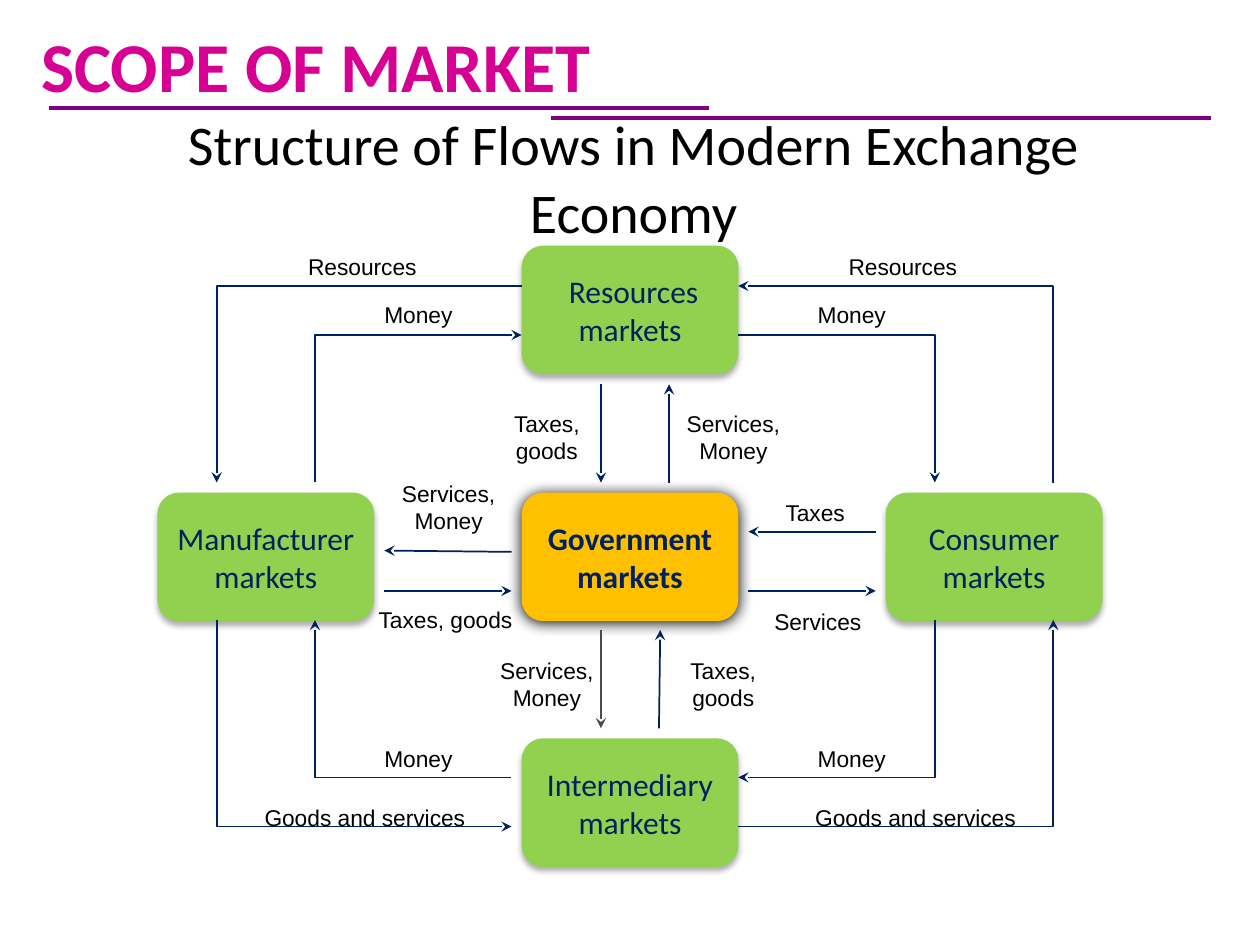
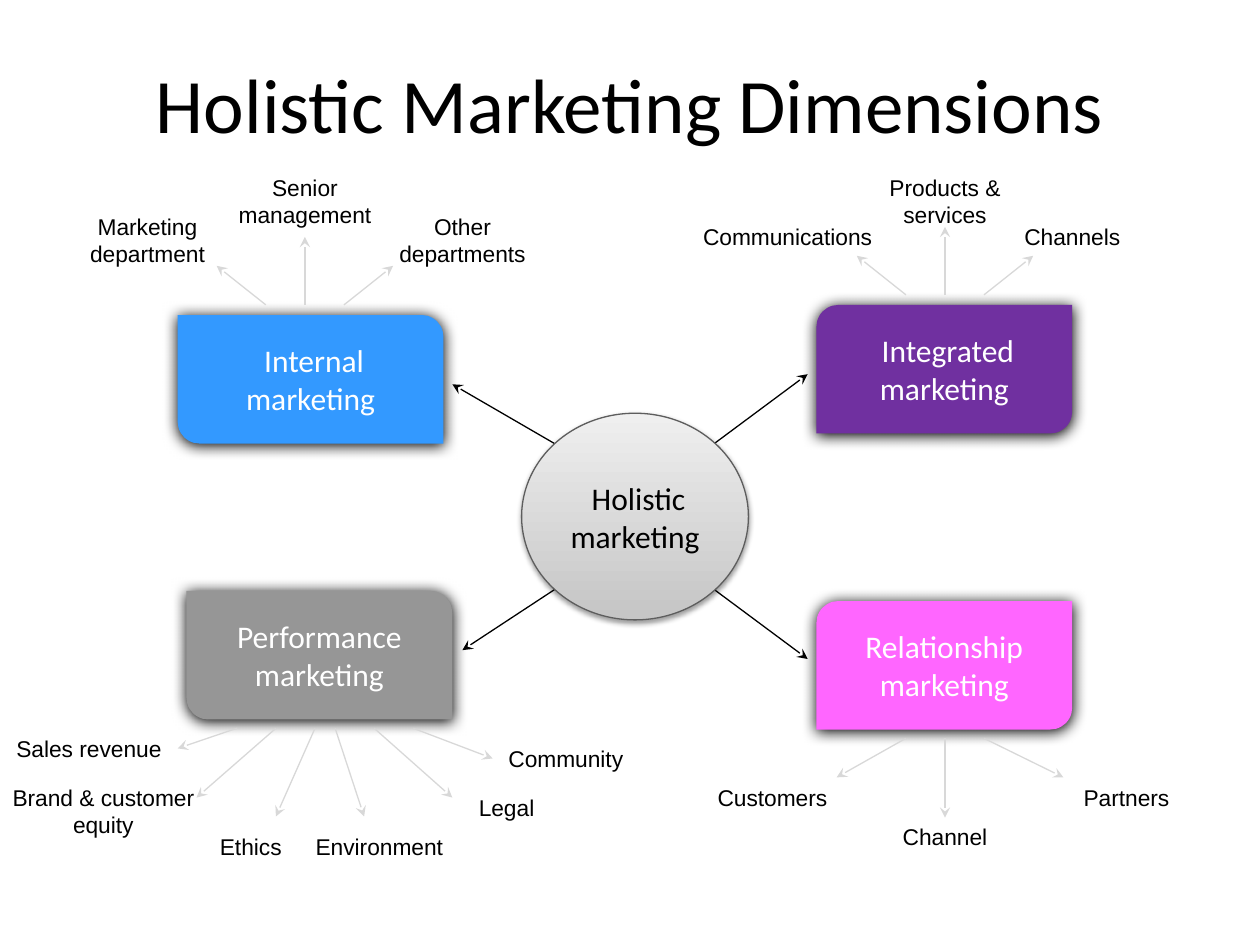
"""Build two marketing diagrams: market flows and holistic marketing dimensions."""
import lxml.etree
import pptx
import pptx.dml.color
import pptx.enum.shapes
import pptx.enum.text
import pptx.oxml.ns
import pptx.util

PX = 9144
COLORS = {
    "black": "000000", "white": "FFFFFF", "navy": "002060", "charcoal": "4B4B4B",
    "pink": "D60093", "plum": "800080", "green": "92D050", "amber": "FFC000",
    "purple": "7030A0", "magenta": "FF66FF", "blue": "3399FF", "gray": "969696",
    "pale": "D8D8D8", "outline": "5D5D5D", "hub_low": "C5C5C5", "hub_high": "EFEFEF",
}
SOFT_SHADOW = (32, 3.5, 2.2)
STRONG_SHADOW = (100, 8.5, 1)
HUB_SHADOW = (38, 3.1, 1.6)
SHAPES = pptx.enum.shapes.MSO_SHAPE
CONNECTORS = pptx.enum.shapes.MSO_CONNECTOR
ALIGN = pptx.enum.text.PP_ALIGN
ANCHOR = pptx.enum.text.MSO_ANCHOR
FIT = pptx.enum.text.MSO_AUTO_SIZE


def color(name):
    return pptx.dml.color.RGBColor.from_string(COLORS[name])


def add_child(parent, tag, **attributes):
    child = lxml.etree.SubElement(parent, pptx.oxml.ns.qn(tag))
    for key, value in attributes.items():
        child.set(key, str(value))
    return child


class Painter:
    """Hold the deck style and draw each kind of element on the current slide."""

    def __init__(self):
        self.deck = pptx.Presentation()
        self.deck.slide_width = 1000 * PX
        self.deck.slide_height = 750 * PX
        self.slide = None

    def start_slide(self, title, area, size):
        self.slide = self.deck.slides.add_slide(self.deck.slide_layouts[5])
        box = self.slide.shapes.title
        box.left, box.top, box.width, box.height = (side * PX for side in area)
        self.set_text(box, title, size, margin=30)
        box.text_frame.auto_size = FIT.NONE

    def set_text(self, box, text, size, ink="black", font="Calibri", bold=False,
                 align=ALIGN.CENTER, anchor=ANCHOR.MIDDLE, margin=10):
        frame = box.text_frame
        frame.text = text
        frame.word_wrap = True
        frame.vertical_anchor = anchor
        frame.margin_left = frame.margin_right = margin * PX
        for para in frame.paragraphs:
            para.alignment = align
            for span in para.runs:
                span.font.name = font
                span.font.size = pptx.util.Pt(size)
                span.font.bold = bold
                span.font.color.rgb = color(ink)

    def text_box(self, text, area, size, **style):
        box = self.slide.shapes.add_textbox(*(side * PX for side in area))
        self.set_text(box, text, size, **style)
        return box

    def label(self, text, left, top, width):
        height = 54 if "\n" in text or text in ("Services, Money", "Brand & customer equity") else 32
        box = self.text_box(text, (left, top, width, height), 13, font="Arial",
                            anchor=ANCHOR.TOP, margin=5)
        box.text_frame.auto_size = FIT.SHAPE_TO_FIT_TEXT

    def block(self, kind, text, area, fill, ink, shadow, bold=False):
        shape = self.slide.shapes.add_shape(kind, *(side * PX for side in area))
        shape.fill.solid()
        shape.fill.fore_color.rgb = color(fill)
        shape.line.fill.background()
        self.shade(shape, *shadow)
        self.set_text(shape, text, 18, ink, bold=bold)
        return shape

    def shade(self, shape, opacity, blur, distance):
        shape.shadow.inherit = False
        effects = shape._element.spPr.find(pptx.oxml.ns.qn("a:effectLst"))
        shadow = add_child(effects, "a:outerShdw", blurRad=pptx.util.Pt(blur),
                           dist=pptx.util.Pt(distance), dir=90 * 60000, rotWithShape=0)
        tint = add_child(shadow, "a:srgbClr", val=COLORS["black"])
        add_child(tint, "a:alpha", val=opacity * 1000)

    def line(self, start, end, ink="navy", width=1, arrow="tailEnd", kind=CONNECTORS.STRAIGHT):
        link = self.slide.shapes.add_connector(kind, *(side * PX for side in start + end))
        link.line.color.rgb = color(ink)
        link.line.width = pptx.util.Pt(width)
        if arrow:
            add_child(link.line._get_or_add_ln(), "a:" + arrow, type="stealth")
        add_child(link._element.spPr, "a:effectLst")
        return link

    def corner(self, start, end, turn, arrow):
        link = self.line(start, end, arrow=arrow, kind=CONNECTORS.ELBOW)
        geometry = link._element.spPr.find(pptx.oxml.ns.qn("a:prstGeom"))
        guides = geometry.find(pptx.oxml.ns.qn("a:avLst"))
        if guides is None:
            guides = add_child(geometry, "a:avLst")
        add_child(guides, "a:gd", name="adj1", fmla=f"val {turn}")


def draw_market_flows(painter):
    painter.start_slide("Structure of Flows in Modern Exchange Economy", (53, 109, 900, 63), 32)
    for text, left, top in (
        (" Resources\nmarkets", 414, 195), ("Consumer\nmarkets", 703, 391),
        ("Manufacturer\nmarkets", 125, 391), ("Intermediary\nmarkets", 414, 586),
    ):
        painter.block(SHAPES.ROUNDED_RECTANGLE, text, (left, top, 172, 102),
                      "green", "navy", SOFT_SHADOW)
    painter.block(SHAPES.ROUNDED_RECTANGLE, "Government\nmarkets", (414, 391, 172, 102),
                  "amber", "navy", STRONG_SHADOW, bold=True)

    for start, end in (
        ((594, 469), (695, 469)), ((406, 438), (305, 437)), ((695, 422), (594, 422)),
        ((305, 469), (406, 469)), ((523, 578), (524, 500)), ((477, 305), (477, 383)),
    ):
        painter.line(start, end)
    painter.line((477, 500), (477, 578), "charcoal")
    painter.line((531, 383), (531, 305), width=0.75)

    for start, end, arrow in (
        ((250, 383), (414, 266), "tailEnd"), ((250, 492), (406, 617), "headEnd"),
        ((172, 492), (406, 656), "tailEnd"), ((172, 383), (414, 227), "headEnd"),
    ):
        painter.corner(start, end, 0, arrow)
    for start, end, arrow in (
        ((586, 266), (742, 383), "tailEnd"), ((586, 617), (742, 492), "headEnd"),
        ((586, 656), (836, 492), "tailEnd"), ((586, 227), (836, 383), "headEnd"),
    ):
        painter.corner(start, end, 100000, arrow)

    for left in (229, 658):
        painter.label("Resources", left, 196, 117)
    for left in (289, 633):
        for top in (234, 586):
            painter.label("Money", left, top, 86)
    for left in (188, 625):
        painter.label("Goods and services", left, 633, 203)
    for left, top in ((305, 376), (383, 516), (531, 320)):
        painter.label("Services, Money", left, top, 102)
    for left, top in ((531, 516), (391, 320)):
        painter.label("Taxes,\ngoods", left, top, 86)
    painter.label("Taxes", 604, 391, 86)
    painter.label("Services", 602, 477, 94)
    painter.label("Taxes, goods", 283, 476, 141)

    painter.text_box("SCOPE OF MARKET", (23, 8, 945, 86), 40, ink="pink", bold=True,
                     align=ALIGN.LEFT)
    for left, top in ((39, 86), (437, 94)):
        painter.line((left, top), (left + 524, top), "plum", 2.25, arrow=None)


def draw_holistic_marketing(painter):
    painter.start_slide("Holistic Marketing Dimensions", (50, 30, 900, 103), 44)
    for text, area, fill, corners in (
        (" Integrated\nmarketing", (648, 242, 203, 102), "purple", (0.17, 0)),
        ("Relationship\nmarketing", (648, 477, 203, 102), "magenta", (0.17, 0)),
        (" Internal\nmarketing", (141, 250, 211, 102), "blue", (0, 0.17)),
        ("Performance\nmarketing", (148, 469, 211, 102), "gray", (0, 0.17)),
    ):
        shape = painter.block(SHAPES.ROUND_2_DIAG_RECTANGLE, text, area, fill, "white",
                              STRONG_SHADOW)
        shape.adjustments[0], shape.adjustments[1] = corners

    for start, end in (
        ((567, 352), (641, 297)), ((567, 468), (641, 523)),
        ((440, 352), (359, 305)), ((440, 468), (367, 516)),
    ):
        painter.line(start, end, "black", 0.75)

    hub = painter.block(SHAPES.OVAL, " Holistic\nmarketing", (414, 328, 180, 164),
                        "hub_low", "black", HUB_SHADOW)
    hub.fill.gradient()
    hub.fill.gradient_angle = 90
    for stop, shade in zip(hub.fill.gradient_stops, ("hub_low", "hub_high")):
        stop.color.rgb = color(shade)
    hub.line.color.rgb = color("outline")
    hub.line.width = pptx.util.Pt(0.75)

    fans = (
        (578, ((328, 391, 602), (297, 359, 633), (266, 289, 648),
               (250, 219, 648), (219, 156, 633), (188, 141, 594))),
        (586, ((750, 750, 649), (781, 844, 617), (719, 664, 617))),
        (234, ((750, 750, 180), (781, 820, 203), (719, 680, 203))),
        (242, ((211, 172, 211), (242, 242, 188), (273, 312, 211))),
    )
    for base, rays in fans:
        for root, tip, level in rays:
            painter.line((root, base), (tip, level), "pale", 0.75)

    for text, left, top, width in (
        ("Customers", 531, 617, 164), ("Channel", 672, 648, 156), ("Partners", 812, 617, 164),
        ("Community", 367, 586, 164), ("Environment", 219, 656, 164), ("Ethics", 117, 656, 164),
        ("Brand & customer equity", 0, 617, 164), ("Sales revenue", 0, 578, 141),
        ("Legal", 320, 625, 164), ("Products &\nservices", 672, 133, 156),
        ("Channels", 773, 172, 156), ("Communications", 547, 172, 156),
        ("Senior\nmanagement", 164, 133, 156), ("Other\ndepartments", 289, 164, 156),
        ("Marketing\ndepartment", 39, 164, 156),
    ):
        painter.label(text, left, top, width)


def main():
    painter = Painter()
    draw_market_flows(painter)
    draw_holistic_marketing(painter)
    painter.deck.save("out.pptx")


if __name__ == "__main__":
    main()
